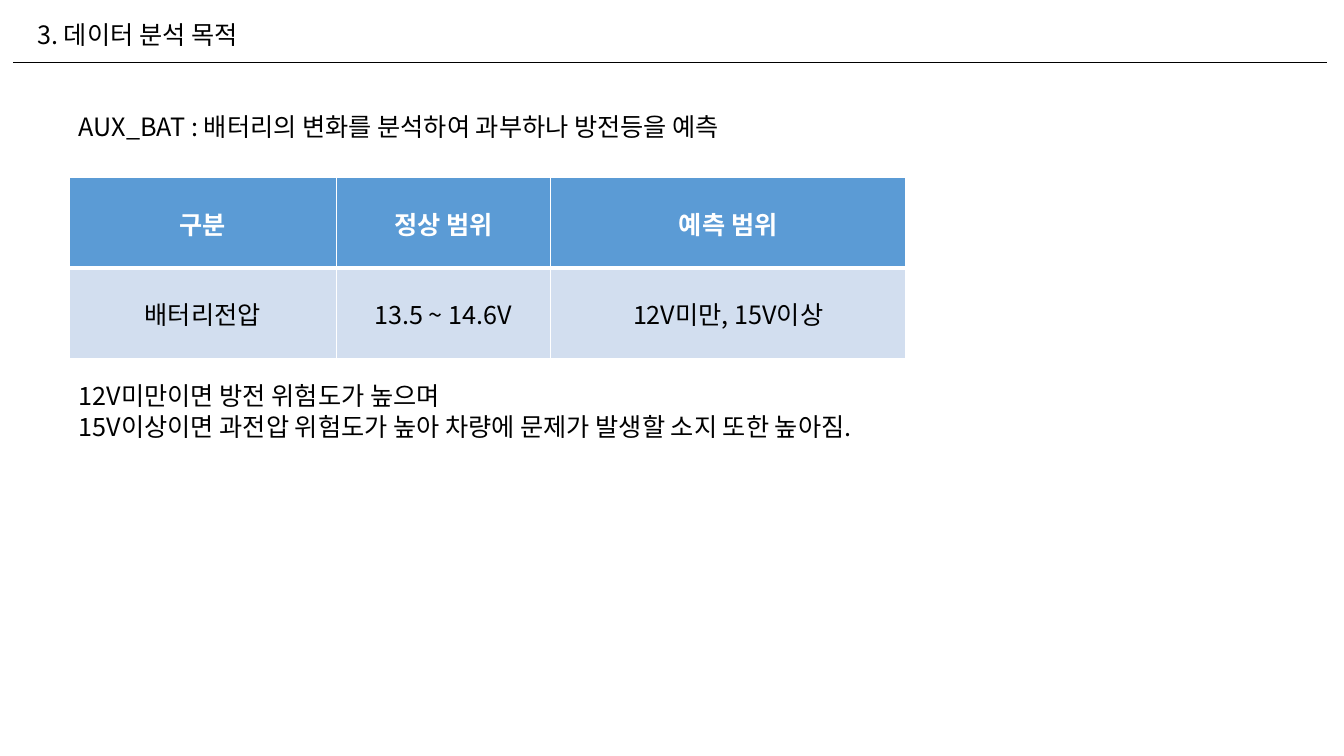
"""Build the battery data analysis purpose slide."""
from lxml import etree
from pptx import Presentation
from pptx.dml.color import RGBColor
from pptx.enum.shapes import MSO_CONNECTOR
from pptx.enum.text import MSO_ANCHOR, PP_ALIGN
from pptx.oxml.ns import qn
from pptx.util import Cm, Pt

STRAIGHT = MSO_CONNECTOR.STRAIGHT
MIDDLE = MSO_ANCHOR.MIDDLE
CENTER = PP_ALIGN.CENTER
BLACK = RGBColor(0x00, 0x00, 0x00)
WHITE = RGBColor(0xFF, 0xFF, 0xFF)
BLUE = RGBColor(0x5B, 0x9B, 0xD5)
PALE_BLUE = RGBColor(0xD2, 0xDE, 0xEF)
FONT = "Noto Sans CJK KR"


def format_text(frame, color, bold=False):
    for paragraph in frame.paragraphs:
        for run in paragraph.runs:
            run.font.name = FONT
            run.font.size = Pt(18)
            run.font.bold = bold
            run.font.color.rgb = color
            east_asian = etree.SubElement(run.font._element, qn("a:ea"))
            east_asian.set("typeface", FONT)


def add_borders(cell, bottom_width):
    properties = cell._tc.get_or_add_tcPr()
    widths = {"a:lnL": 1, "a:lnR": 1, "a:lnT": 1, "a:lnB": bottom_width}
    for position, (side, width) in enumerate(widths.items()):
        border = etree.Element(qn(side), w=str(Pt(width)))
        fill = etree.SubElement(border, qn("a:solidFill"))
        etree.SubElement(fill, qn("a:srgbClr"), val=str(WHITE))
        properties.insert(position, border)


presentation = Presentation()
presentation.slide_width = Cm(33.87)
presentation.slide_height = Cm(19.05)
slide = presentation.slides.add_slide(presentation.slide_layouts[6])

title_rule = slide.shapes.add_connector(STRAIGHT, Cm(0.33), Cm(1.58), Cm(33.43), Cm(1.58))
title_rule.line.color.rgb = BLACK
title_rule.line.width = Pt(0.5)
etree.SubElement(title_rule._element.spPr, qn("a:effectLst"))

voltage_rows = [
    ("구분", "정상 범위", "예측 범위"),
    ("배터리전압", "13.5 ~ 14.6V", "12V미만, 15V이상"),
]
row_styles = [(BLUE, WHITE, True, 3), (PALE_BLUE, BLACK, False, 1)]
column_widths = [6.73, 5.4, 8.96]
row_height = 2.28
voltage_table = slide.shapes.add_table(
    len(voltage_rows), len(column_widths), Cm(1.74), Cm(4.48),
    Cm(sum(column_widths)), Cm(row_height * len(voltage_rows)),
).table
for column, width in zip(voltage_table.columns, column_widths):
    column.width = Cm(width)
for row, labels, style in zip(voltage_table.rows, voltage_rows, row_styles):
    fill_color, text_color, bold, bottom_width = style
    row.height = Cm(row_height)
    for cell, label in zip(row.cells, labels):
        cell.text_frame.text = label
        cell.text_frame.paragraphs[0].alignment = CENTER
        cell.vertical_anchor = MIDDLE
        cell.fill.solid()
        cell.fill.fore_color.rgb = fill_color
        format_text(cell.text_frame, text_color, bold)
        add_borders(cell, bottom_width)

statements = [
    ("3. 데이터 분석 목적", 0.69, 0.36, 6.17, 1.03),
    ("AUX_BAT : 배터리의 변화를 분석하여 과부하나 방전등을 예측", 1.74, 2.68, 18.97, 1.03),
    ("12V미만이면 방전 위험도가 높으며\n"
     "15V이상이면 과전압 위험도가 높아 차량에 문제가 발생할 소지 또한 높아짐.",
     1.74, 9.47, 22.4, 1.8),
]
for statement, left, top, width, height in statements:
    frame = slide.shapes.add_textbox(Cm(left), Cm(top), Cm(width), Cm(height)).text_frame
    frame.word_wrap = True
    frame.text = statement
    format_text(frame, BLACK)

presentation.save("out.pptx")
